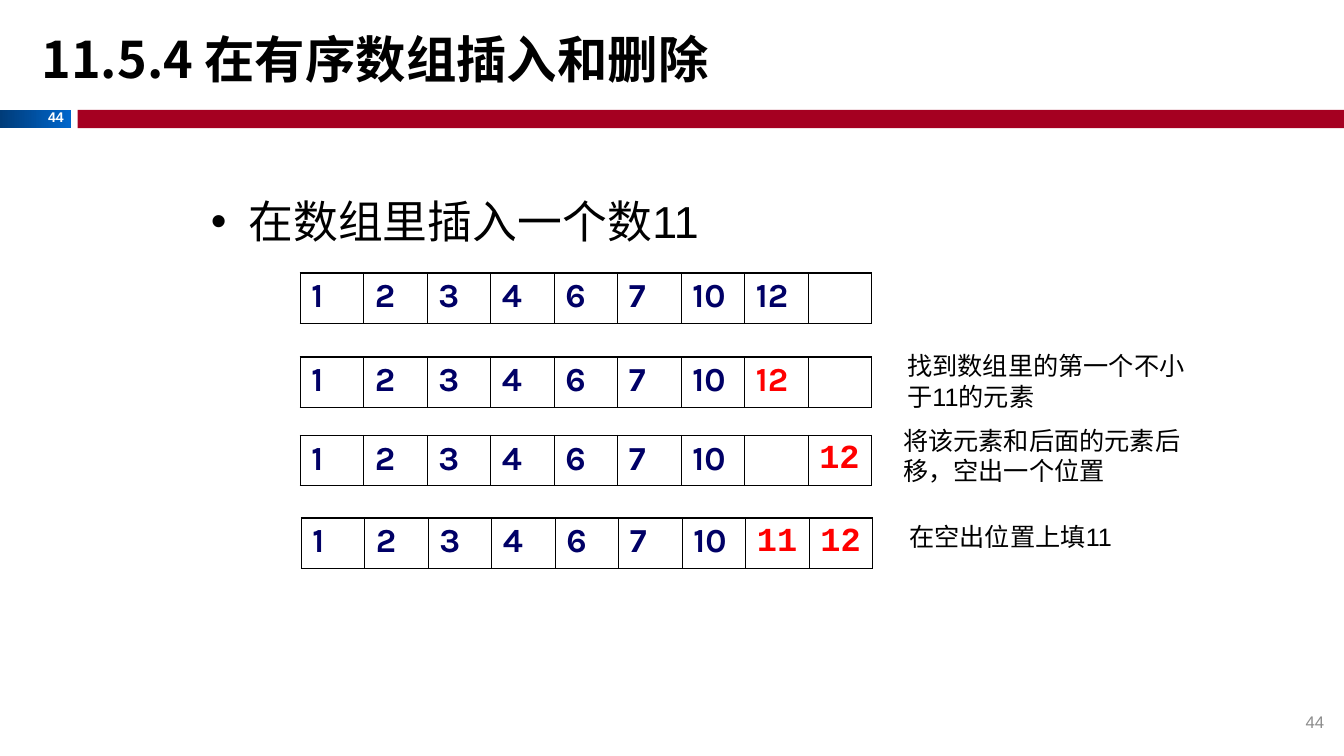
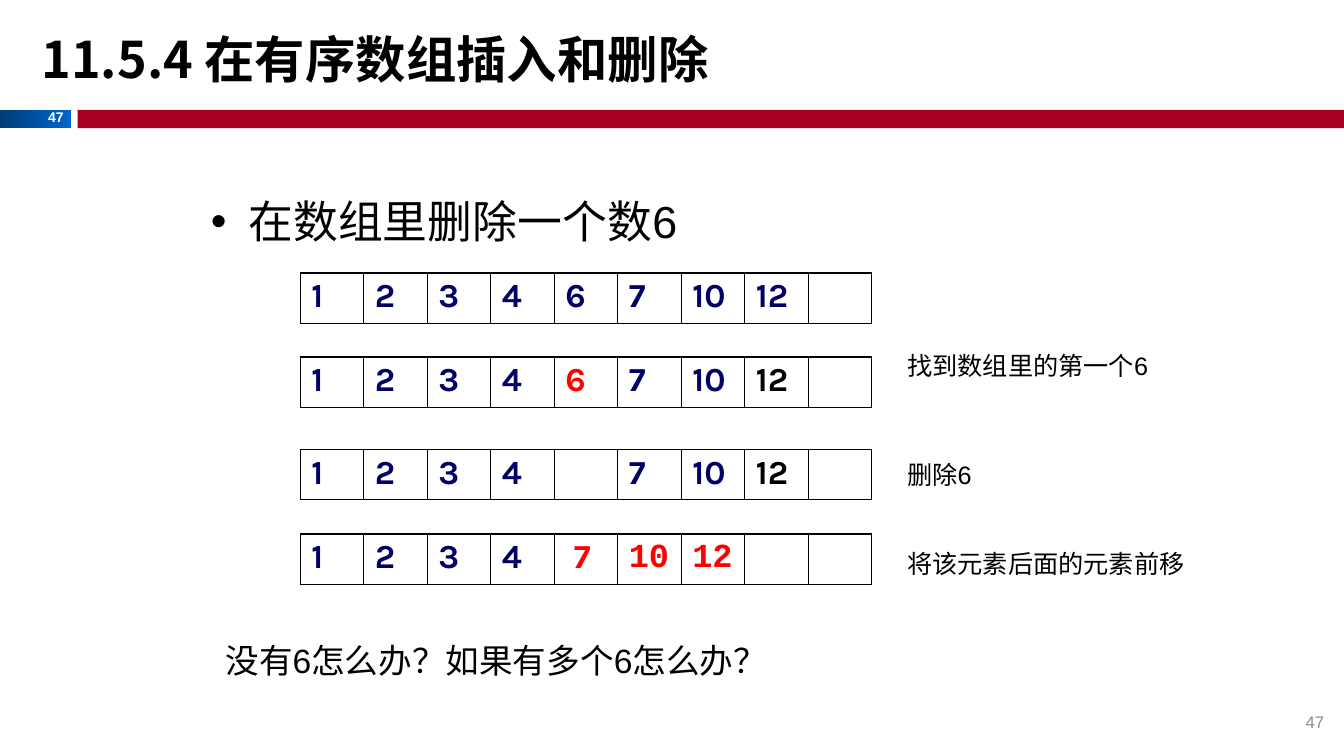
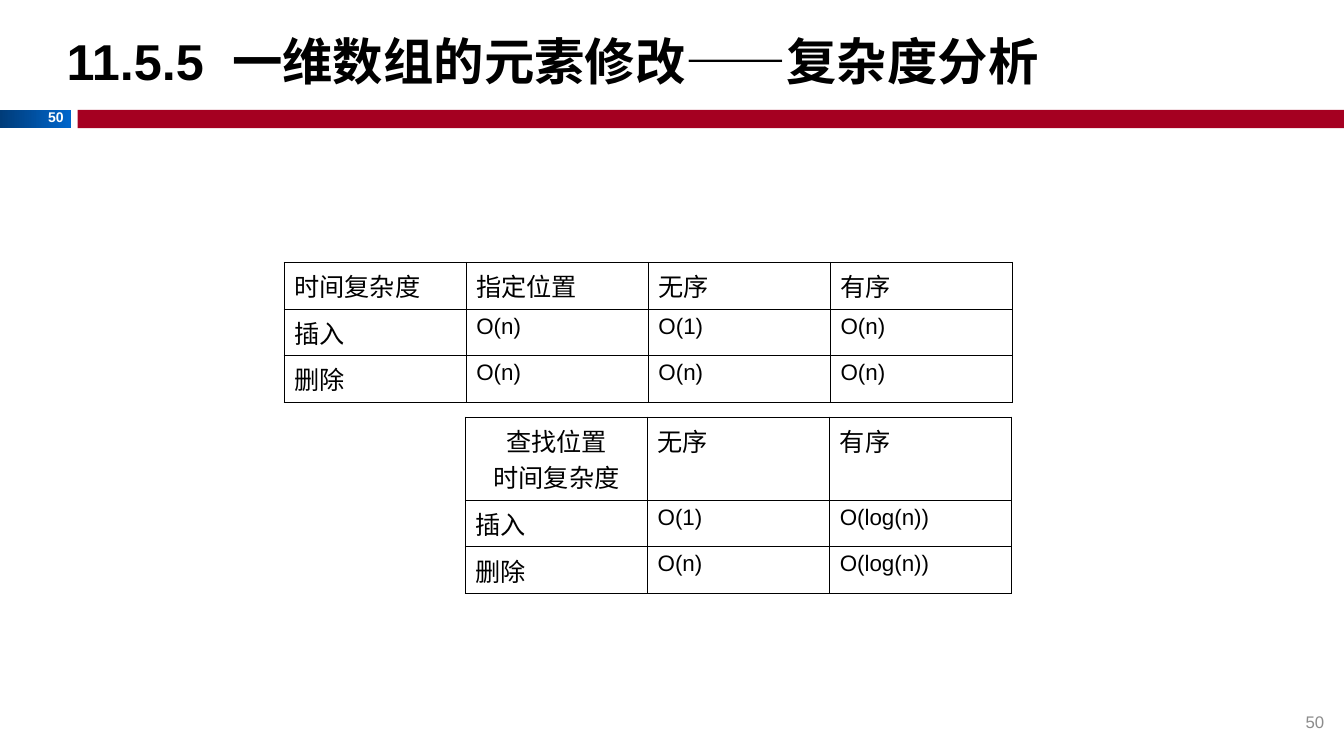
from dataclasses import dataclass, field

from lxml import etree
from pptx import Presentation
from pptx.dml.color import RGBColor
from pptx.enum.shapes import MSO_SHAPE
from pptx.enum.text import MSO_ANCHOR, PP_ALIGN
from pptx.oxml.ns import qn
from pptx.slide import Slide
from pptx.util import Pt

RECTANGLE = MSO_SHAPE.RECTANGLE
TOP, MIDDLE = MSO_ANCHOR.TOP, MSO_ANCHOR.MIDDLE
LEFT, CENTER, RIGHT = PP_ALIGN.LEFT, PP_ALIGN.CENTER, PP_ALIGN.RIGHT

SLIDE_WIDTH, SLIDE_HEIGHT = 960, 540
BAND_TOP, BAND_HEIGHT = 78.5, 13
COMPLEXITY_ROW_HEIGHT = 33.3
CJK_FONT = "Noto Sans CJK SC"
COLORS = {
    "black": "000000",
    "white": "FFFFFF",
    "gray": "8C8C8C",
    "crimson": "A50021",
    "deep_blue": "003C79",
    "bright_blue": "0066CC",
    "navy": "000066",
    "red": "FF0000",
}


@dataclass(frozen=True)
class Style:
    size: float
    font: str = "Arial"
    color: str = "black"
    bold: bool = False
    align: PP_ALIGN = LEFT
    anchor: MSO_ANCHOR = TOP
    before: float = 0
    spacing: float = 1.0


def element_style(color: str, font: str = "Karla") -> Style:
    return Style(24, font, color, True, before=4.8, spacing=0.95)


STYLES = {
    "title": Style(36, CJK_FONT, bold=True, anchor=MIDDLE),
    "centered_title": Style(36, bold=True, align=CENTER, anchor=MIDDLE),
    "band_number": Style(10, color="white", bold=True, align=RIGHT),
    "page_number": Style(12, color="gray", align=RIGHT, anchor=MIDDLE),
    "task": Style(32, before=6.4),
    "note": Style(18),
    "question": Style(24),
    "settled": element_style("navy"),
    "unmoved": element_style("black"),
    "found": element_style("red"),
    "moved": element_style("red", "Courier New"),
    "heading": Style(18),
    "corner": Style(18, align=CENTER),
    "complexity": Style(16),
}


@dataclass(frozen=True)
class Label:
    text: str
    style: str
    left: float
    top: float
    width: float
    height: float
    bullet: bool = False


@dataclass(frozen=True)
class Cell:
    text: str
    style: str


@dataclass(frozen=True)
class Grid:
    left: float
    top: float
    column_width: float
    row_heights: list[float]
    rows: list[list[Cell]]
    side_margin: float = 7.2


@dataclass(frozen=True)
class Page:
    number: int
    title: Label
    labels: list[Label] = field(default_factory=list)
    grids: list[Grid] = field(default_factory=list)


def rgb(color: str) -> RGBColor:
    return RGBColor.from_string(COLORS[color])


def apply(target: object, values: dict) -> None:
    for name, value in values.items():
        setattr(target, name, value)


def write_text(frame, text: str, style: Style) -> None:
    frame.text = text
    for paragraph in frame.paragraphs:
        apply(paragraph, {
            "alignment": style.align,
            "space_before": Pt(style.before),
            "line_spacing": style.spacing,
        })
        for run in paragraph.runs:
            apply(run.font, {
                "size": Pt(style.size), "bold": style.bold, "name": style.font,
            })
            run.font.color.rgb = rgb(style.color)
            latin = run.font._element.find(qn("a:latin"))
            east_asian = etree.Element(qn("a:ea"), typeface=CJK_FONT)
            latin.addnext(east_asian)


def add_bullet(paragraph) -> None:
    properties = paragraph._p.get_or_add_pPr()
    indents = {"marL": str(Pt(27)), "indent": str(-Pt(27))}
    for name, value in indents.items():
        properties.set(name, value)
    etree.SubElement(properties, qn("a:buFont"), typeface="Arial")
    etree.SubElement(properties, qn("a:buChar"), char="•")


def draw_label(slide: Slide, label: Label) -> None:
    style = STYLES[label.style]
    frame = slide.shapes.add_textbox(
        Pt(label.left), Pt(label.top), Pt(label.width), Pt(label.height)
    ).text_frame
    apply(frame, {"word_wrap": True, "vertical_anchor": style.anchor})
    write_text(frame, label.text, style)
    if label.bullet:
        add_bullet(frame.paragraphs[0])


def add_borders(cell) -> None:
    properties = cell._tc.get_or_add_tcPr()
    for side in ("lnL", "lnR", "lnT", "lnB"):
        line = etree.SubElement(properties, qn(f"a:{side}"), w=str(Pt(1)))
        fill = etree.SubElement(line, qn("a:solidFill"))
        etree.SubElement(fill, qn("a:srgbClr"), val=COLORS["black"])


def draw_grid(slide: Slide, grid: Grid) -> None:
    row_count, column_count = len(grid.rows), len(grid.rows[0])
    table = slide.shapes.add_table(
        row_count, column_count, Pt(grid.left), Pt(grid.top),
        Pt(grid.column_width * column_count), Pt(sum(grid.row_heights)),
    ).table
    apply(table, {"first_row": False, "horz_banding": False})
    for column in table.columns:
        column.width = Pt(grid.column_width)
    for row, height, contents in zip(table.rows, grid.row_heights, grid.rows):
        row.height = Pt(height)
        for cell, content in zip(row.cells, contents):
            apply(cell, {
                "margin_left": Pt(grid.side_margin),
                "margin_right": Pt(grid.side_margin),
            })
            write_text(cell.text_frame, content.text, STYLES[content.style])
            add_borders(cell)
            cell.fill.background()


def draw_band(slide: Slide, left: float, width: float):
    band = slide.shapes.add_shape(
        RECTANGLE, Pt(left), Pt(BAND_TOP), Pt(width), Pt(BAND_HEIGHT)
    )
    band.shadow.inherit = False
    band.line.fill.background()
    return band.fill


def draw_frame(slide: Slide, number: int) -> None:
    number_fill = draw_band(slide, 0, 51)
    number_fill.gradient()
    number_fill.gradient_angle = 0
    for stop, color in zip(number_fill.gradient_stops, ("deep_blue", "bright_blue")):
        stop.color.rgb = rgb(color)
    rule_fill = draw_band(slide, 55.5, SLIDE_WIDTH - 55.5)
    rule_fill.solid()
    rule_fill.fore_color.rgb = rgb("crimson")
    draw_label(slide, Label(str(number), "band_number", 25, 74, 27.5, 19.5))
    draw_label(slide, Label(str(number), "page_number", 737, 501, 216, 29))


def array_step(top: float, values: str, marks: dict[int, str], left: float = 214.5) -> Grid:
    cells = [
        Cell(value, marks.get(index, "settled"))
        for index, value in enumerate(values.split(","))
    ]
    return Grid(left, top, 45.36, [36], [cells], side_margin=7.9)


def complexity_table(left: float, top: float, corner: Cell, headings: list[str],
                     operations: dict[str, list[str]],
                     header_height: float = COMPLEXITY_ROW_HEIGHT) -> Grid:
    rows = [[corner] + [Cell(heading, "heading") for heading in headings]]
    for operation, costs in operations.items():
        rows.append([Cell(operation, "heading")]
                    + [Cell(cost, "complexity") for cost in costs])
    heights = [header_height] + [COMPLEXITY_ROW_HEIGHT] * len(operations)
    return Grid(left, top, 130.1, heights, rows)


def task(text: str) -> Label:
    return Label(text, "task", 143.5, 135, 672.5, 343, bullet=True)


def note(text: str, top: float, left: float = 641, height: float = 29) -> Label:
    return Label(text, "note", left, top, 215.5, height)


SORTED_TITLE = Label("11.5.4 在有序数组插入和删除", "title", 22.5, 15, 907, 53.5)
START = array_step(195, "1,2,3,4,6,7,10,12,", {})

PAGES = [
    Page(
        44, SORTED_TITLE,
        [
            task("在数组里插入一个数11"),
            note("找到数组里的第一个不小于11的元素", 247, height=51),
            note("将该元素和后面的元素后移，空出一个位置", 300, 638, 51),
            note("在空出位置上填11", 368.5, 642.5),
        ],
        [
            START,
            array_step(255, "1,2,3,4,6,7,10,12,", {7: "found"}),
            array_step(311, "1,2,3,4,6,7,10,,12", {8: "moved"}),
            array_step(370, "1,2,3,4,6,7,10,11,12", {7: "moved", 8: "moved"}, 215.3),
        ],
    ),
    Page(
        47, SORTED_TITLE,
        [
            task("在数组里删除一个数6"),
            note("找到数组里的第一个6", 247),
            note("删除6", 324.5),
            note("将该元素后面的元素前移", 388),
            Label("没有6怎么办？如果有多个6怎么办？", "question", 154, 453.5, 488, 36),
        ],
        [
            START,
            array_step(255, "1,2,3,4,6,7,10,12,", {4: "found", 7: "unmoved"}),
            array_step(321, "1,2,3,4,,7,10,12,", {7: "unmoved"}),
            array_step(381.5, "1,2,3,4, 7,10,12,,", {4: "found", 5: "moved", 6: "moved"}),
        ],
    ),
    Page(
        50,
        Label("11.5.5  一维数组的元素修改——复杂度分析", "centered_title", 9.5, 9.5, 770.5, 67.5),
        grids=[
            complexity_table(
                203, 187.5, Cell("时间复杂度", "heading"), ["指定位置", "无序", "有序"],
                {"插入": ["O(n)", "O(1)", "O(n)"], "删除": ["O(n)", "O(n)", "O(n)"]},
            ),
            complexity_table(
                332.5, 298, Cell("查找位置\n时间复杂度", "corner"), ["无序", "有序"],
                {"插入": ["O(1)", "O(log(n))"], "删除": ["O(n)", "O(log(n))"]},
                header_height=59.3,
            ),
        ],
    ),
]


def main() -> None:
    deck = Presentation()
    apply(deck, {"slide_width": Pt(SLIDE_WIDTH), "slide_height": Pt(SLIDE_HEIGHT)})
    blank = deck.slide_layouts[6]
    for page in PAGES:
        slide = deck.slides.add_slide(blank)
        draw_frame(slide, page.number)
        for label in (page.title, *page.labels):
            draw_label(slide, label)
        for grid in page.grids:
            draw_grid(slide, grid)
    deck.save("out.pptx")


if __name__ == "__main__":
    main()
